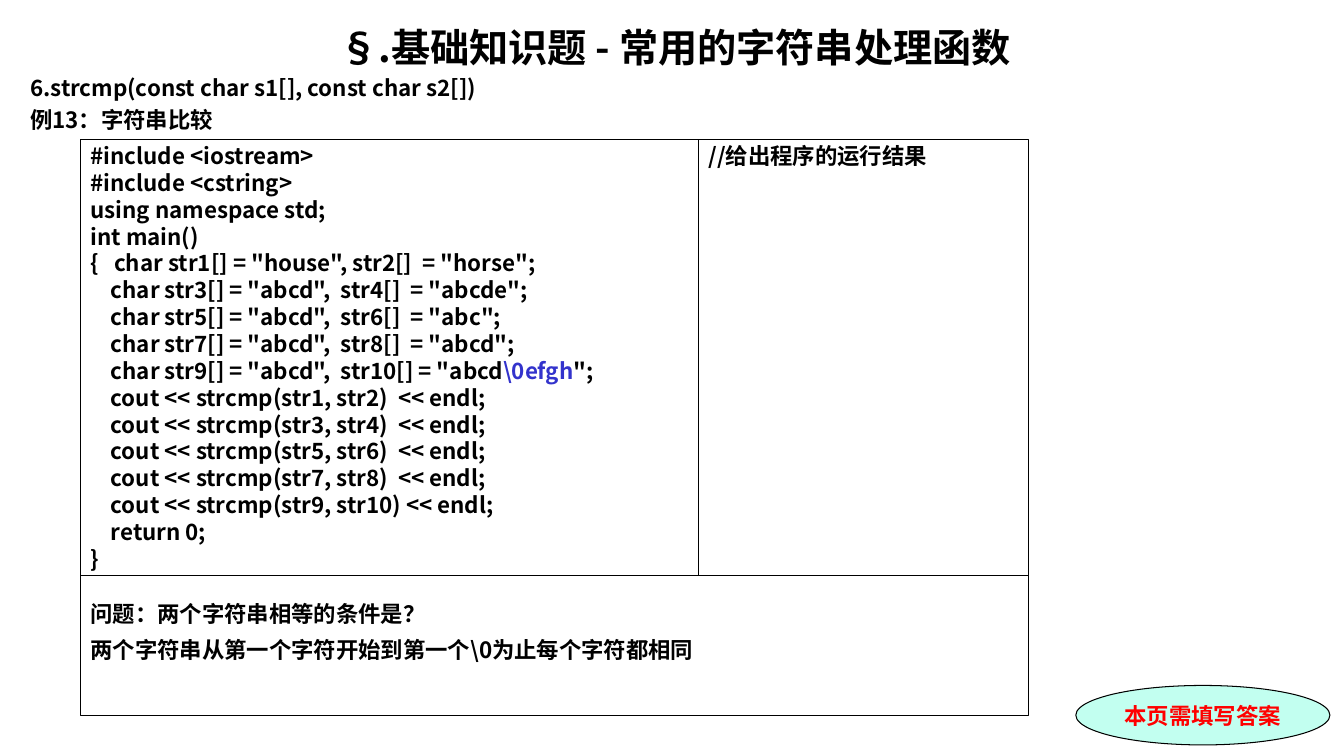
from dataclasses import dataclass

from lxml import etree
from pptx import Presentation
from pptx.dml.color import RGBColor
from pptx.enum.shapes import MSO_SHAPE
from pptx.enum.text import MSO_ANCHOR, MSO_AUTO_SIZE, PP_ALIGN
from pptx.oxml.ns import qn
from pptx.slide import Slide
from pptx.text.text import TextFrame
from pptx.util import Inches, Pt

RECTANGLE = MSO_SHAPE.RECTANGLE
OVAL = MSO_SHAPE.OVAL
TOP = MSO_ANCHOR.TOP
MIDDLE = MSO_ANCHOR.MIDDLE
NO_AUTOFIT = MSO_AUTO_SIZE.NONE
LEFT = PP_ALIGN.LEFT
CENTER = PP_ALIGN.CENTER

COLORS = {"ink": "000000", "escape": "3333CC", "answer": "FF0000", "mint": "C2FFF0"}
SANS = "Noto Sans CJK SC"
SERIF = "Times New Roman"
ESCAPE = r"\0efgh"

TITLE = "§.基础知识题 - 常用的字符串处理函数"
HEADINGS = """6.strcmp(const char s1[], const char s2[])
例13：字符串比较"""
CODE = r"""#include <iostream>
#include <cstring>
using namespace std;
int main()
{   char str1[] = "house", str2[]  = "horse";
    char str3[] = "abcd",  str4[]  = "abcde";
    char str5[] = "abcd",  str6[]  = "abc";
    char str7[] = "abcd",  str8[]  = "abcd";
    char str9[] = "abcd",  str10[] = "abcd\0efgh";
    cout << strcmp(str1, str2)  << endl;
    cout << strcmp(str3, str4)  << endl;
    cout << strcmp(str5, str6)  << endl;
    cout << strcmp(str7, str8)  << endl;
    cout << strcmp(str9, str10) << endl;
    return 0;
}"""
QUESTION = r"""问题：两个字符串相等的条件是？
两个字符串从第一个字符开始到第一个\0为止每个字符都相同"""


@dataclass(frozen=True)
class TextStyle:
    size: float = 16
    font: str = SANS
    color: str = "ink"
    align: PP_ALIGN = LEFT
    space_before: float = 0


@dataclass(frozen=True)
class Panel:
    text: str
    left: float
    top: float
    width: float
    height: float
    margin_top: float
    style: TextStyle = TextStyle()
    outline: MSO_SHAPE = RECTANGLE
    fill: str = ""
    anchor: MSO_ANCHOR = TOP
    wrap: bool = True


PANELS = [
    Panel("本页需填写答案", 10.67, 6.8, 2.52, 0.59, 0,
          TextStyle(font=SERIF, color="answer", align=CENTER),
          OVAL, "mint", MIDDLE, False),
    Panel(CODE, 0.8, 1.38, 6.13, 4.33, 0.03),
    Panel(QUESTION, 0.8, 5.71, 9.4, 1.39, 0.24, TextStyle(space_before=6.7)),
    Panel("//给出程序的运行结果", 6.93, 1.38, 3.27, 4.33, 0.03),
]


def rgb(name: str) -> RGBColor:
    return RGBColor.from_string(COLORS[name])


def write_text(frame: TextFrame, text: str, style: TextStyle) -> None:
    for index, line in enumerate(text.split("\n")):
        para = frame.paragraphs[0] if index == 0 else frame.add_paragraph()
        para.alignment = style.align
        para.space_before = Pt(style.space_before if index else 0)
        para.font.size = Pt(style.size)
        para.font.bold = True
        para.font.color.rgb = rgb(style.color)
        para.font.name = style.font
        defaults = para.font.fill._xPr
        etree.SubElement(defaults, qn("a:ea"), typeface=SANS)
        before, escape, after = line.partition(ESCAPE)
        for part in filter(None, (before, escape, after)):
            span = para.add_run()
            span.text = part
            if part == ESCAPE:
                span.font.color.rgb = rgb("escape")


def add_title(page: Slide) -> None:
    title = page.shapes.title
    title.left, title.top = Inches(0.2), Inches(0.18)
    title.width, title.height = Inches(12.99), Inches(0.57)
    frame = title.text_frame
    frame.auto_size = NO_AUTOFIT
    frame.vertical_anchor = TOP
    write_text(frame, TITLE, TextStyle(size=28, align=CENTER))


def add_headings(page: Slide) -> None:
    box = page.shapes.add_textbox(Inches(0.2), Inches(0.69), Inches(12.99), Inches(0.68))
    box.text_frame.word_wrap = True
    write_text(box.text_frame, HEADINGS, TextStyle(space_before=3.2))


def add_panel(page: Slide, panel: Panel) -> None:
    box = page.shapes.add_shape(panel.outline, Inches(panel.left), Inches(panel.top),
                                Inches(panel.width), Inches(panel.height))
    box.shadow.inherit = False
    if panel.fill:
        box.fill.solid()
        box.fill.fore_color.rgb = rgb(panel.fill)
    else:
        box.fill.background()
    box.line.color.rgb = rgb("ink")
    box.line.width = Pt(0.75)
    frame = box.text_frame
    frame.word_wrap = panel.wrap
    frame.vertical_anchor = panel.anchor
    frame.margin_top = Inches(panel.margin_top)
    frame.margin_bottom = 0
    write_text(frame, panel.text, panel.style)


def main() -> None:
    deck = Presentation()
    deck.slide_width, deck.slide_height = Inches(13.33), Inches(7.5)
    page = deck.slides.add_slide(deck.slide_layouts[5])
    add_title(page)
    add_headings(page)
    for panel in PANELS:
        add_panel(page, panel)
    deck.save("out.pptx")


if __name__ == "__main__":
    main()
